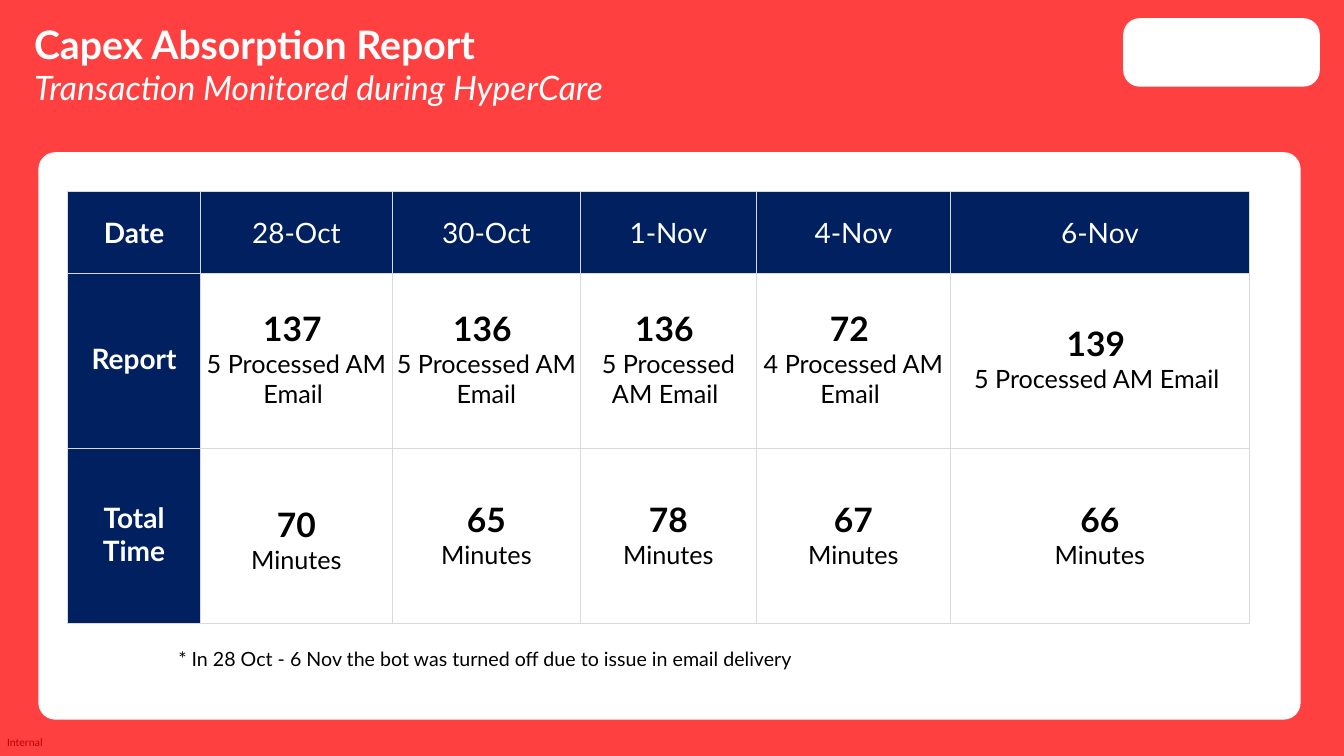
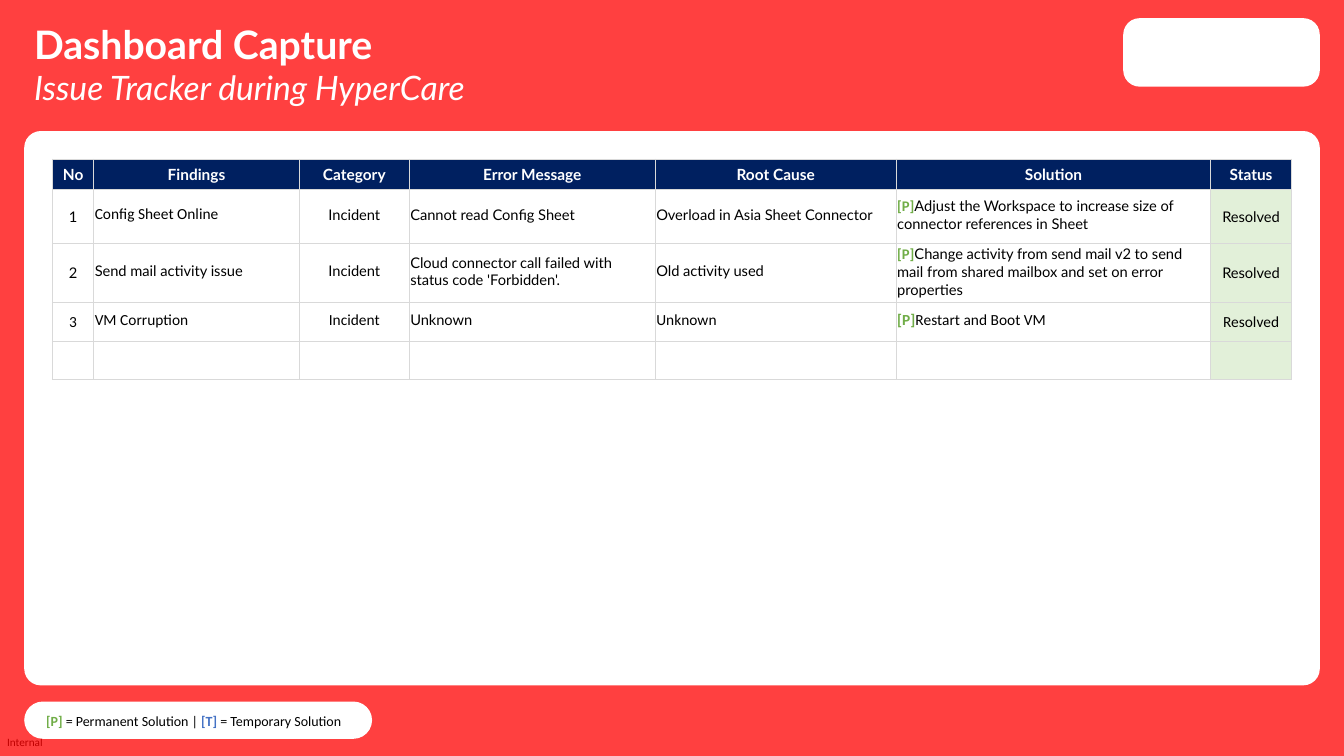
from collections import namedtuple

from lxml import etree
from pptx import Presentation
from pptx import util as u
from pptx.dml.color import RGBColor
from pptx.enum import shapes, text
from pptx.oxml.ns import qn

PX = u.Inches(1) // 100
SLIDE_W, SLIDE_H = 1333, 750

RED = RGBColor(0xFF, 0x00, 0x00)
WHITE = RGBColor(0xFF, 0xFF, 0xFF)
BLACK = RGBColor(0x00, 0x00, 0x00)
NAVY = RGBColor(0x00, 0x20, 0x60)
GRID = RGBColor(0xD9, 0xD9, 0xD9)
GREEN = RGBColor(0x70, 0xAD, 0x47)
BLUE = RGBColor(0x44, 0x72, 0xC4)
PALE_GREEN = RGBColor(0xE2, 0xF0, 0xD9)

LATO, CALIBRI = "Lato", "Calibri"
ISSUE_SIZE = {LATO: 10.5, CALIBRI: 11}

WIDE = (5, 5, 5, 5)  # left, top, right, bottom
TIGHT = (1, 1, 1, 5)
LEFT, CENTER = text.PP_ALIGN.LEFT, text.PP_ALIGN.CENTER

Box = namedtuple("Box", "x y w h")
Run = namedtuple("Run", "words size color bold italic font",
                 defaults=(BLACK, False, False, LATO))
Cell = namedtuple("Cell", "lines fill insets align",
                  defaults=(WHITE, TIGHT, CENTER))


def emu(box):
    return [side * PX for side in box]


def add_runs(paragraph, runs):
    for piece in runs:
        run = paragraph.add_run()
        run.text = piece.words
        font = run.font
        font.name, font.size = piece.font, u.Pt(piece.size)
        font.bold, font.italic = piece.bold, piece.italic
        font.color.rgb = piece.color


def add_label(slide, box, runs, inset=True):
    frame = slide.shapes.add_textbox(*emu(box)).text_frame
    frame.word_wrap = True
    frame.auto_size = text.MSO_AUTO_SIZE.SHAPE_TO_FIT_TEXT
    if not inset:
        frame.margin_left = frame.margin_top = 0
        frame.margin_right = frame.margin_bottom = 0
    add_runs(frame.paragraphs[0], runs)
    return frame


def add_panel(slide, box, color=WHITE, corner=None):
    """Borderless rectangle, rounded when a corner ratio is given."""
    kind = shapes.MSO_SHAPE
    panel = slide.shapes.add_shape(
        kind.RECTANGLE if corner is None else kind.ROUNDED_RECTANGLE, *emu(box))
    if corner is not None:
        panel.adjustments[0] = corner
    panel.shadow.inherit = False
    panel.fill.solid()
    panel.fill.fore_color.rgb = color
    panel.line.fill.background()
    return panel


def add_branded_slide(deck, title, subtitle):
    slide = deck.slides.add_slide(deck.slide_layouts[6])
    add_label(slide, Box(7, 730, 38, 13),
              [Run("Internal", 8, font=CALIBRI)], inset=False)
    veil = add_panel(slide, Box(0, 0, SLIDE_W, SLIDE_H), RED)
    tint = next(veil.element.spPr.iter(qn("a:srgbClr")))
    etree.SubElement(tint, qn("a:alpha"), val="75000")
    add_panel(slide, Box(1114, 18, 195, 68), corner=0.24)
    heading = add_label(slide, Box(24, 15, 663, 98),
                        [Run(title, 28, WHITE, True)]).paragraphs[0]
    heading.add_line_break()
    add_runs(heading, [Run(subtitle, 24, WHITE, italic=True)])
    return slide


def outline_cell(cell):
    props = cell._tc.get_or_add_tcPr()
    for index, side in enumerate(("a:lnL", "a:lnR", "a:lnT", "a:lnB")):
        line = etree.Element(qn(side), w=str(u.Pt(1)))
        fill = etree.SubElement(line, qn("a:solidFill"))
        etree.SubElement(fill, qn("a:srgbClr"), val=str(GRID))
        props.insert(index, line)


def fill_cell(cell, content):
    cell.fill.solid()
    cell.fill.fore_color.rgb = content.fill
    cell.vertical_anchor = text.MSO_ANCHOR.MIDDLE
    (cell.margin_left, cell.margin_top,
     cell.margin_right, cell.margin_bottom) = emu(content.insets)
    for index, runs in enumerate(content.lines):
        frame = cell.text_frame
        paragraph = frame.add_paragraph() if index else frame.paragraphs[0]
        paragraph.alignment = content.align
        add_runs(paragraph, runs)
    outline_cell(cell)


def add_grid(slide, x, y, widths, heights, rows):
    box = Box(x, y, sum(widths), sum(heights))
    table = slide.shapes.add_table(len(heights), len(widths), *emu(box)).table
    table.first_row = table.horz_banding = False
    for column, width in zip(table.columns, widths):
        column.width = width * PX
    for row, height, contents in zip(table.rows, heights, rows):
        row.height = height * PX
        for cell, content in zip(row.cells, contents):
            fill_cell(cell, content)


def navy_cell(*lines, size=20, bold=True, insets=WIDE):
    return Cell([[Run(line, size, WHITE, bold)] for line in lines], NAVY, insets)


def figure_cell(number, caption, insets=TIGHT):
    return Cell([[Run(number, 24, bold=True)], [Run(caption, 18)]], insets=insets)


def add_report(slide, card):
    add_panel(slide, card, corner=0.03)
    dates = ["28-Oct", "30-Oct", "1-Nov", "4-Nov", "6-Nov"]
    reports = [("137 ", "5 Processed AM Email "), ("136 ", "5 Processed AM Email"),
               ("136 ", "5 Processed AM Email "), ("72 ", "4 Processed AM Email "),
               ("139 ", "5 Processed AM Email ")]
    lowered = (1, 11, 1, 5)
    minutes = [("70", lowered), ("65", TIGHT), ("78", TIGHT),
               ("67", TIGHT), ("66", TIGHT)]
    rows = [
        [navy_cell("Date")] + [navy_cell(date, bold=False) for date in dates],
        [navy_cell("Report", insets=TIGHT)]
        + [figure_cell(*report) for report in reports],
        [navy_cell("Total", "Time", insets=TIGHT)]
        + [figure_cell(count, "Minutes", insets) for count, insets in minutes],
    ]
    add_grid(slide, card.x + 29, card.y + 39,
             [132, 190, 187, 174, 193, 296], [81, 174, 174], rows)
    add_label(slide, Box(card.x + 129, card.y + 486, 667, 34),
              [Run("* In 28 Oct - 6 Nov the bot was turned off due to issue "
                   "in email delivery", 14)])


def issue_row(issue, faces):
    """Cells of one finding; faces gives the font of each column."""
    cells = []
    for column, (words, face) in enumerate(zip(issue, faces)):
        size = ISSUE_SIZE[face]
        runs = [Run(words, size, font=face)]
        if column == 5:
            runs.insert(0, Run("[P]", size, GREEN, True, font=CALIBRI))
        cells.append(Cell([runs],
                          PALE_GREEN if column == 6 else WHITE,
                          WIDE if column in (0, 6) else TIGHT,
                          CENTER if column in (0, 2, 6) else LEFT))
    return cells


def add_issue_tracker(slide, card):
    add_panel(slide, card, corner=0.03)
    headers = ["No", "Findings", "Category", "Error Message", "Root Cause",
               "Solution", "Status"]
    issues = [
        (("1", "Config Sheet Online", "Incident", "Cannot read Config Sheet",
          "Overload in Asia Sheet Connector",
          "Adjust the Workspace to increase size of connector references in Sheet",
          "Resolved"),
         [LATO, CALIBRI] + [LATO] * 5),
        (("2", "Send mail activity issue", "Incident",
          "Cloud connector call failed with status code 'Forbidden'.",
          "Old activity used",
          "Change activity from send mail v2 to send mail from shared mailbox "
          "and set on error properties",
          "Resolved"),
         [LATO] * 7),
        (("3", "VM Corruption", "Incident", "Unknown", "Unknown",
          "Restart and Boot VM", "Resolved"),
         [CALIBRI] * 3 + [LATO] + [CALIBRI] * 3),
    ]
    rows = [[navy_cell(header, size=11) for header in headers]]
    rows += [issue_row(*issue) for issue in issues]
    rows.append([Cell([])] * 6 + [Cell([], PALE_GREEN)])
    add_grid(slide, card.x + 28, card.y + 28,
             [41, 204, 109, 244, 239, 312, 80], [30, 54, 38, 38, 38], rows)


def add_legend(slide, pill):
    add_panel(slide, pill, corner=0.5)
    add_label(slide, Box(pill.x + 12, pill.y + 6, 676, 27), [
        Run("[P] ", 10, GREEN, True, font=CALIBRI),
        Run("= Permanent Solution | ", 10, font=CALIBRI),
        Run("[T] ", 10, BLUE, True, font=CALIBRI),
        Run("= Temporary Solution", 10, font=CALIBRI),
    ])


def main():
    deck = Presentation()
    deck.slide_width, deck.slide_height = SLIDE_W * PX, SLIDE_H * PX

    report = add_branded_slide(deck, "Capex Absorption Report",
                               "Transaction Monitored during HyperCare")
    add_report(report, Box(38, 151, 1252, 563))

    tracker = add_branded_slide(deck, "Dashboard Capture",
                                "Issue Tracker during HyperCare")
    add_issue_tracker(tracker, Box(24, 130, 1285, 550))
    add_legend(tracker, Box(24, 696, 345, 37))

    deck.save("out.pptx")


if __name__ == "__main__":
    main()
